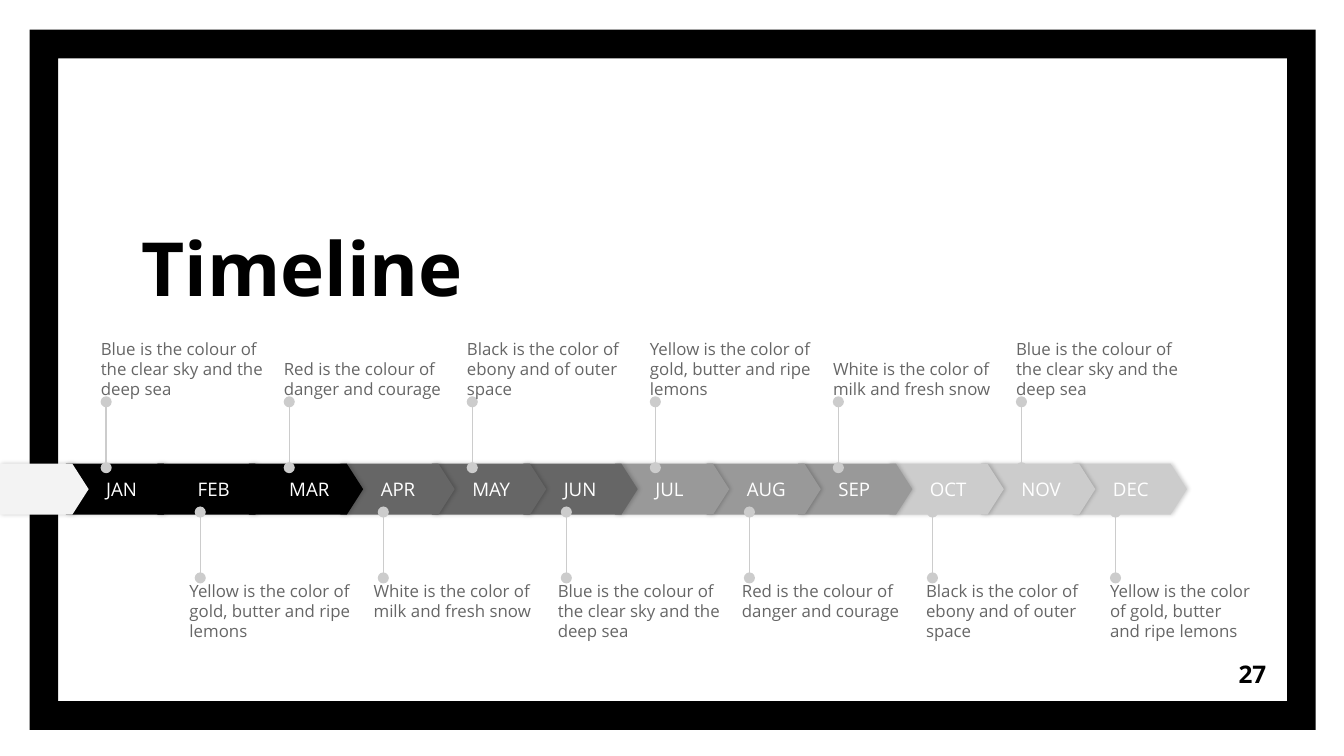
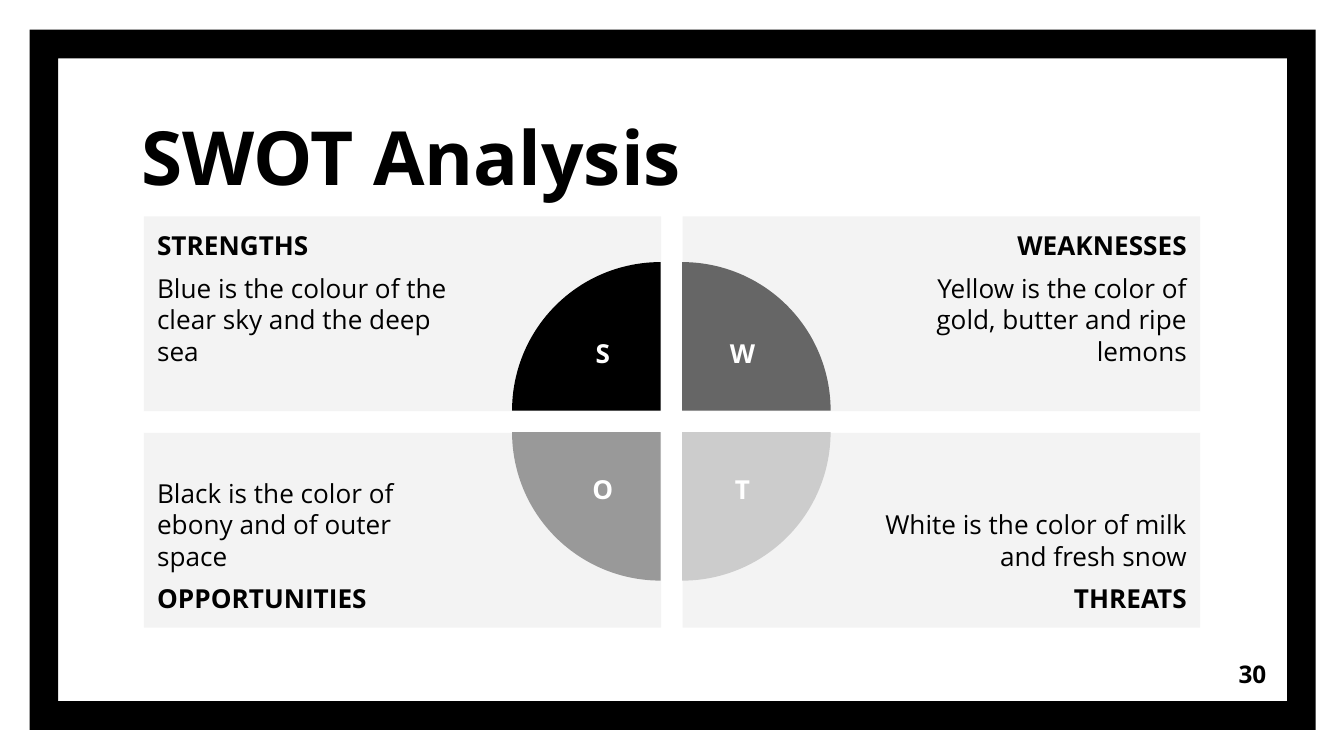
import dataclasses

import pptx
import pptx.util
import pptx.dml.color
import pptx.enum.shapes
import pptx.enum.text
import pptx.oxml
import pptx.oxml.ns

SHAPE = pptx.enum.shapes.MSO_SHAPE
ANCHOR = pptx.enum.text.MSO_ANCHOR
ALIGN = pptx.enum.text.PP_ALIGN
NS = pptx.oxml.ns.nsdecls("a")


@dataclasses.dataclass(frozen=True)
class Theme:
    font: str = "Open Sans"
    black: str = "000000"
    dark: str = "666666"
    mid: str = "999999"
    light: str = "CCCCCC"
    pale: str = "F3F3F3"
    white: str = "FFFFFF"
    title: float = 40
    body: float = 14
    page: float = 13
    month: float = 10
    note: float = 9
    line: float = 0.75


T = Theme()
COLUMNS = 100
CELL = pptx.util.Inches(10) // COLUMNS

BLUE = "Blue is the colour of the clear sky and the deep sea"
RED = "Red is the colour of danger and courage"
BLACK = "Black is the color of ebony and of outer space"
YELLOW = "Yellow is the color of gold, butter and ripe lemons"
WHITE = "White is the color of milk and fresh snow"

MONTHS = "JAN FEB MAR APR MAY JUN JUL AUG SEP OCT NOV DEC".split()
QUARTERS = [T.black, T.dark, T.mid, T.light]
UPPER_NOTES = [BLUE, RED, BLACK, YELLOW, WHITE, BLUE]
LOWER_NOTES = [YELLOW, WHITE, BLUE, RED, BLACK, YELLOW]


def grid(*cells):
    return [round(c * CELL) for c in cells]


def rgb(colour):
    return pptx.dml.color.RGBColor.from_string(colour)


def apply(obj, **fmt):
    for name, value in fmt.items():
        setattr(obj, name, value)


def frame_text(shape, anchor=ANCHOR.TOP, insets=(0, 0, 0, 0), wrap=True):
    tf = shape.text_frame
    left, top, right, bottom = grid(*insets)
    apply(tf, word_wrap=wrap, auto_size=pptx.enum.text.MSO_AUTO_SIZE.NONE,
          vertical_anchor=anchor, margin_left=left, margin_top=top,
          margin_right=right, margin_bottom=bottom)
    return tf


def write(p, text, size, colour, bold=False, align=ALIGN.LEFT, **spacing):
    apply(p, alignment=align, **spacing)
    r = p.add_run()
    r.text = text
    apply(r.font, name=T.font, size=pptx.util.Pt(size), bold=bold)
    r.font.color.rgb = rgb(colour)


def add_label(s, box, text, size, colour, bold=False, align=ALIGN.LEFT, **frame):
    tf = frame_text(s.shapes.add_textbox(*grid(*box)), **frame)
    write(tf.paragraphs[0], text, size, colour, bold, align)


def add_block(s, kind, box, colour, adjustments=(), rotation=0):
    sp = s.shapes.add_shape(kind, *grid(*box))
    for i, value in enumerate(adjustments):
        sp.adjustments[i] = value
    sp.rotation = rotation
    sp.fill.solid()
    sp.fill.fore_color.rgb = rgb(colour)
    sp.line.fill.background()
    sp.shadow.inherit = False
    return sp


def add_soft_shadow(sp):
    effects = sp._element.spPr.find(pptx.oxml.ns.qn("a:effectLst"))
    effects.append(pptx.oxml.parse_xml(
        f'<a:outerShdw {NS} blurRad="28000" dist="10000" dir="0" algn="ctr">'
        f'<a:srgbClr val="{T.black}"><a:alpha val="20000"/></a:srgbClr></a:outerShdw>'))


def add_pin(s, x, bottom, top):
    pin = s.shapes.add_connector(pptx.enum.shapes.MSO_CONNECTOR.STRAIGHT,
                                 *grid(x, bottom, x, top))
    pin.line.color.rgb = rgb(T.light)
    pin.line.width = pptx.util.Pt(T.line)
    ln = pin.line._get_or_add_ln()
    for end in ("headEnd", "tailEnd"):
        ln.append(pptx.oxml.parse_xml(f'<a:{end} {NS} type="oval"/>'))
    pin._element.spPr.append(pptx.oxml.parse_xml(f"<a:effectLst {NS}/>"))


def add_page(prs, title, title_height, page):
    s = prs.slides.add_slide(prs.slide_layouts[5])
    sp = s.shapes.title
    left, top, width, height = grid(9.5, 9.3, 55.7, title_height)
    apply(sp, left=left, top=top, width=width, height=height)
    tf = frame_text(sp, ANCHOR.BOTTOM, (1, 1, 1, 1))
    write(tf.paragraphs[0], title, T.title, T.black, True)
    add_label(s, (89.2, 48, 6, 4.3), page, T.page, T.black, True, ALIGN.RIGHT,
              anchor=ANCHOR.MIDDLE, insets=(1, 1, 1, 1))
    return s


def add_border(s):
    border = add_block(s, SHAPE.FRAME, (2.2, 2.2, 95.7, 52.1), T.black, [0.041])
    s.slide_layout.shapes._spTree.append(border._element)


def add_arrow(s, left, width, colour, text=""):
    sp = add_block(s, SHAPE.PENTAGON, (left, 34.5, width, 3.8), colour, [0.32])
    add_soft_shadow(sp)
    if text:
        tf = frame_text(sp, ANCHOR.MIDDLE, (3, 0, 0, 0))
        write(tf.paragraphs[0], text, T.month, T.white)


def add_timeline(s):
    pitch = 6.81
    for i, month in reversed(list(enumerate(MONTHS))):
        add_arrow(s, 4.9 + i * pitch, 8.5, QUARTERS[i // 3], month)
    add_arrow(s, 0, 6.6, T.pale)
    for i, (upper, lower) in enumerate(zip(UPPER_NOTES, LOWER_NOTES)):
        shift = 2 * pitch * i
        add_pin(s, 7.9 + shift, 34.8, 29.9)
        add_label(s, (7.5 + shift, 24.5, 12.9, 5.2), upper, T.note, T.dark,
                  anchor=ANCHOR.BOTTOM)
        add_pin(s, 14.9 + shift, 43, 38.1)
        width = 10.7 if i == len(LOWER_NOTES) - 1 else 12.9
        add_label(s, (14.1 + 13.7 * i, 43.2, width, 5.2), lower, T.note, T.dark)


def add_panel(s, col, row, heading, text):
    sp = add_block(s, SHAPE.RECTANGLE,
                   (10.7 + 40.1 * col, 16.1 + 16.1 * row, 38.5, 14.5), T.pale)
    insets = (15, 1, 1, 1) if col else (1, 1, 15, 1)
    tf = frame_text(sp, ANCHOR.BOTTOM if row else ANCHOR.TOP, insets)
    align = ALIGN.RIGHT if col else ALIGN.LEFT
    lines = [(heading, True), (text, False)]
    if row:
        lines.reverse()
    gap = pptx.util.Pt(6)
    write(tf.paragraphs[0], lines[0][0], T.body, T.black, lines[0][1], align)
    write(tf.add_paragraph(), lines[1][0], T.body, T.black, lines[1][1], align,
          space_before=gap, space_after=gap)


def add_quadrant(s, col, row, letter, colour, rotation):
    add_block(s, SHAPE.PIE, (38.1 + 1.6 * col, 19.5 + 1.6 * row, 22.1, 22.1),
              colour, [108, 162], rotation)
    add_label(s, (42.1 + 10.4 * col, 24.1 + 10.1 * row, 5.5, 3.8), letter,
              T.body, T.white, True, ALIGN.CENTER, insets=(1, 1, 1, 1))


def add_swot(s):
    quadrants = [
        (0, 0, "STRENGTHS", BLUE, T.black, 0),
        (1, 0, "WEAKNESSES", YELLOW, T.dark, 90),
        (1, 1, "THREATS", WHITE, T.light, 180),
        (0, 1, "OPPORTUNITIES", BLACK, T.mid, 270),
    ]
    for col, row, heading, text, _, _ in quadrants:
        add_panel(s, col, row, heading, text)
    for col, row, heading, _, colour, rotation in quadrants:
        add_quadrant(s, col, row, heading[0], colour, rotation)


def main():
    prs = pptx.Presentation()
    apply(prs, slide_width=CELL * COLUMNS, slide_height=round(CELL * 56.25))
    timeline = add_page(prs, "Timeline", 14.9, "27")
    add_border(timeline)
    add_timeline(timeline)
    add_swot(add_page(prs, "SWOT Analysis", 6.6, "30"))
    prs.save("out.pptx")


if __name__ == "__main__":
    main()
